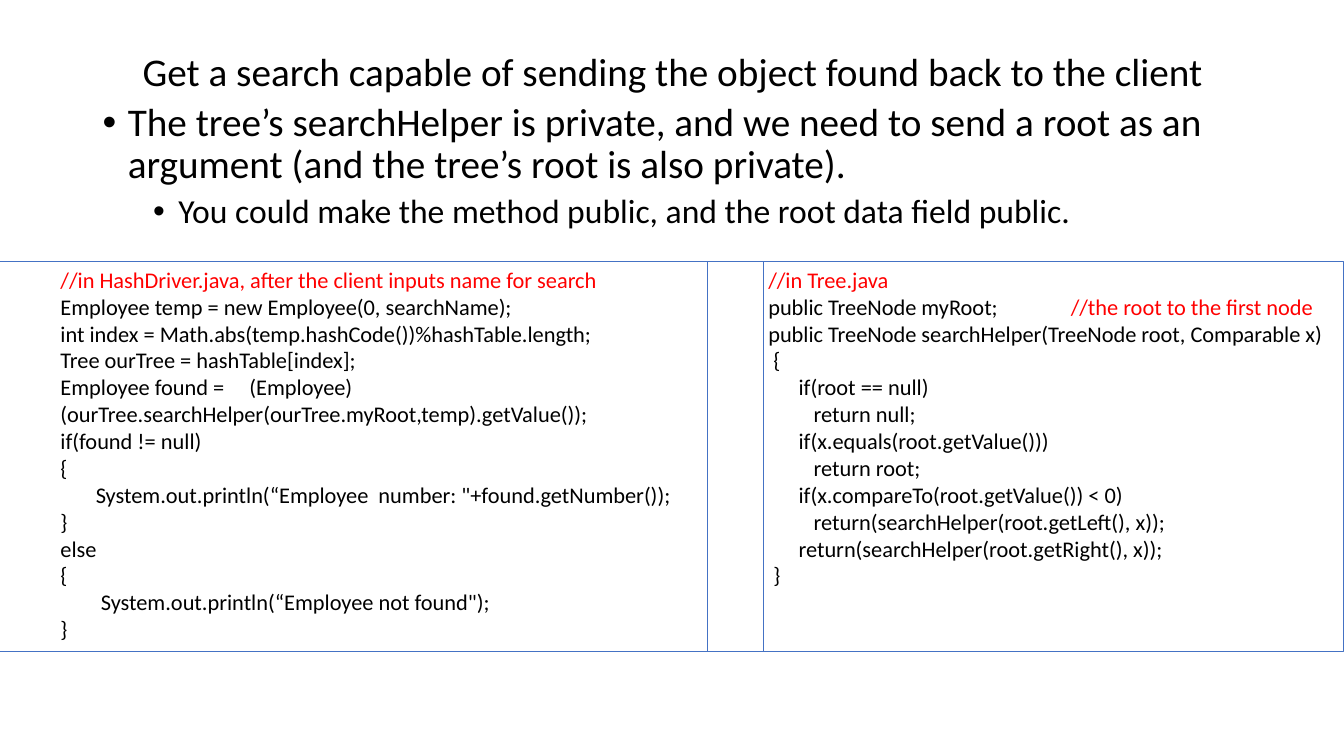
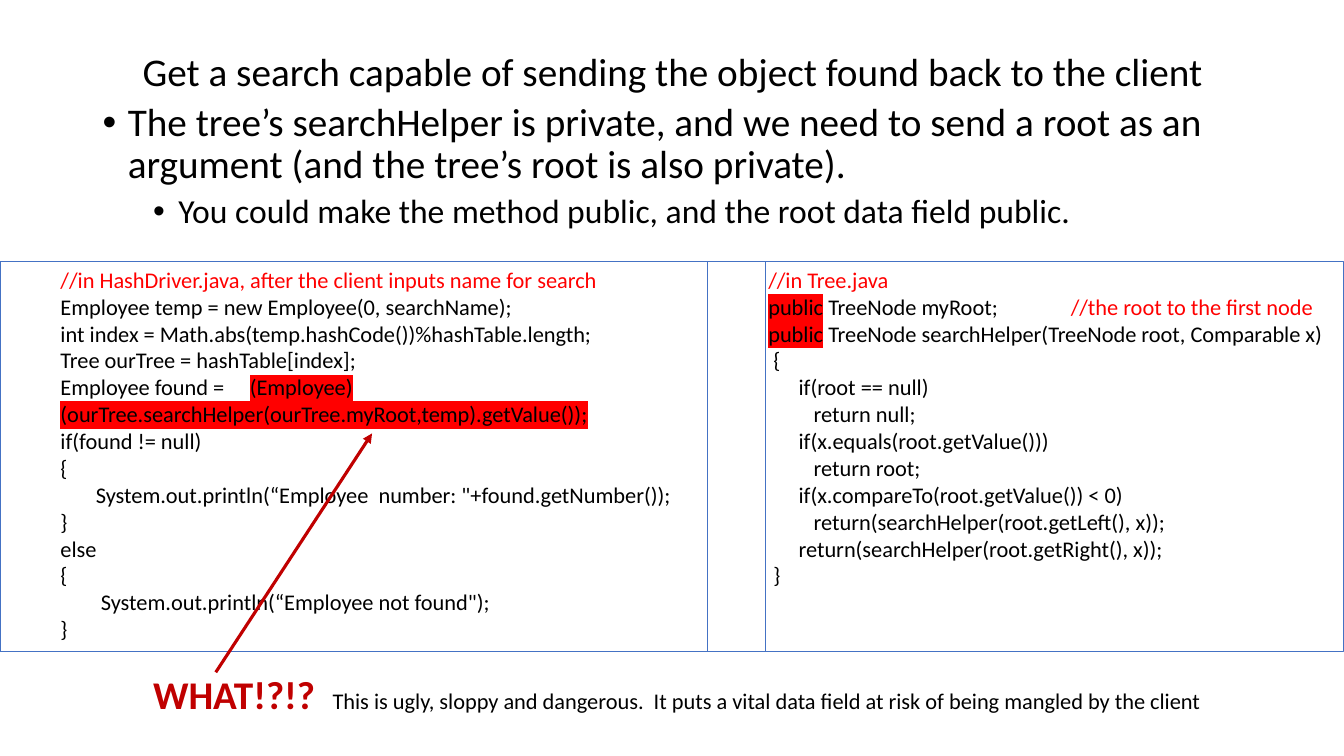
from dataclasses import dataclass

from lxml import etree
from pptx import Presentation
from pptx.dml.color import RGBColor
from pptx.enum.shapes import MSO_CONNECTOR, MSO_SHAPE
from pptx.enum.text import MSO_ANCHOR, PP_ALIGN
from pptx.oxml.ns import qn
from pptx.util import Inches, Pt


@dataclass(frozen=True)
class Theme:
    font: str = "Calibri"
    text: str = "000000"
    accent: str = "FF0000"
    warning: str = "C00000"
    border: str = "4472C4"
    large: int = 28
    medium: int = 24
    small: int = 16
    tight: float = 0.9


THEME = Theme()

TITLE = "Get a search capable of sending the object found back to the client"
POINT = ("The tree’s searchHelper is private, and we need to send a root as an "
         "argument (and the tree’s root is also private).")
SUBPOINT = "You could make the method public, and the root data field public."
VERDICT = ("This is ugly, sloppy and dangerous.  It puts a vital data field "
           "at risk of being mangled by the client")

# Boxes: left, top, width, height
TITLE_BOX = (0.92, 0.4, 11.5, 0.66)
BODY_BOX = (0.92, 0.97, 11.5, 1.5)
TREE_BOX = (7.02, 2.59, 6.31, 3.87)
VERDICT_BOX = (1.42, 6.65, 11, 0.55)

DRIVER_END = """if(found != null)
{
       System.out.println(“Employee  number: "+found.getNumber());
}
else
{
        System.out.println(“Employee not found");
}"""

TREE_END = """ {
      if(root == null)
         return null;
      if(x.equals(root.getValue()))
         return root;
      if(x.compareTo(root.getValue()) < 0)
         return(searchHelper(root.getLeft(), x));
      return(searchHelper(root.getRight(), x));
 }"""


def add_run(paragraph, text, size=THEME.small, color=THEME.text, bold=False,
            highlight=None):
    run = paragraph.add_run()
    run.text = text
    run.font.size = Pt(size)
    run.font.bold = bold
    run.font.color.rgb = RGBColor.from_string(color)
    if highlight:
        properties = run.font._element
        mark = etree.SubElement(properties, qn("a:highlight"))
        etree.SubElement(mark, qn("a:srgbClr"), val=highlight)
    run.font.name = THEME.font


def add_paragraph(frame, runs, first=False, align=PP_ALIGN.LEFT, spacing=1.0,
                  before=0, bullet_indent=None, tab=None):
    """Write one paragraph from (text, format) pairs."""
    paragraph = frame.paragraphs[0] if first else frame.add_paragraph()
    paragraph.alignment = align
    paragraph.line_spacing = spacing
    paragraph.space_before = Pt(before)
    properties = paragraph._p.get_or_add_pPr()
    if bullet_indent is not None:
        properties.set("marL", str(Inches(bullet_indent)))
        properties.set("indent", str(-Inches(0.25)))
        etree.SubElement(properties, qn("a:buFont"), typeface="Arial")
        etree.SubElement(properties, qn("a:buChar"), char="•")
    if tab is not None:
        stops = etree.SubElement(properties, qn("a:tabLst"))
        etree.SubElement(stops, qn("a:tab"), pos=str(Inches(tab)), algn="l")
    for text, style in runs:
        add_run(paragraph, text, **style)


def add_text_box(slide, box):
    frame = slide.shapes.add_textbox(*map(Inches, box)).text_frame
    frame.word_wrap = True
    return frame


def add_heading(slide, box):
    frame = add_text_box(slide, box)
    frame.vertical_anchor = MSO_ANCHOR.MIDDLE
    add_paragraph(frame, [(TITLE, {"size": THEME.large})], first=True,
                  align=PP_ALIGN.CENTER, spacing=THEME.tight)


def add_points(slide, box):
    frame = add_text_box(slide, box)
    add_paragraph(frame, [(POINT, {"size": THEME.large})], first=True,
                  spacing=THEME.tight, bullet_indent=0.25)
    add_paragraph(frame, [(SUBPOINT, {"size": THEME.medium})],
                  spacing=THEME.tight, before=5, bullet_indent=0.75)


def add_code(slide, box, lines):
    """Draw an outlined box with one paragraph for each line of code."""
    shape = slide.shapes.add_shape(MSO_SHAPE.RECTANGLE, *map(Inches, box))
    shape.shadow.inherit = False
    shape.fill.background()
    shape.line.color.rgb = RGBColor.from_string(THEME.border)
    shape.line.width = Pt(0.75)
    frame = shape.text_frame
    frame.word_wrap = True
    frame.vertical_anchor = MSO_ANCHOR.TOP
    frame.margin_left = Inches(0.6)
    for index, runs in enumerate(lines):
        add_paragraph(frame, runs, first=index == 0, tab=3)


def plain_lines(code):
    return [[(line, {})] for line in code.splitlines()]


def driver_lines(highlight):
    return [
        [("//in HashDriver.java, after the client inputs name for search",
          {"color": THEME.accent})],
        [("Employee temp = new Employee(0, searchName);", {})],
        [("int index = Math.abs(temp.hashCode())%hashTable.length;", {})],
        [("Tree ourTree = hashTable[index];", {})],
        [("Employee found =     ", {}),
         ("(Employee)(ourTree.searchHelper(ourTree.myRoot,temp).getValue());",
          {"highlight": highlight})],
    ] + plain_lines(DRIVER_END)


def tree_lines(highlight):
    public = ("public", {"highlight": highlight})
    return [
        [("//in Tree.java", {"color": THEME.accent})],
        [public, (" TreeNode myRoot;\t", {}),
         ("//the root to the first node", {"color": THEME.accent})],
        [public, (" TreeNode searchHelper(TreeNode root, Comparable x)", {})],
    ] + plain_lines(TREE_END)


def add_verdict(slide, box):
    """Write the warning and point its arrow at the marked call."""
    frame = add_text_box(slide, box)
    warning = {"size": THEME.large, "color": THEME.warning, "bold": True}
    add_paragraph(frame, [("WHAT!?!?\t", warning), (VERDICT, {})], first=True,
                  spacing=THEME.tight, tab=1.78)

    left, top = box[:2]
    arrow = slide.shapes.add_connector(
        MSO_CONNECTOR.STRAIGHT, Inches(left + 0.72), Inches(top + 0.02),
        Inches(left + 2.27), Inches(top - 2.35))
    arrow.line.color.rgb = RGBColor.from_string(THEME.warning)
    arrow.line.width = Pt(2.25)
    etree.SubElement(arrow.line._get_or_add_ln(), qn("a:tailEnd"),
                     type="triangle")
    etree.SubElement(arrow._element.spPr, qn("a:effectLst"))


def add_search_slide(presentation, driver_width, highlight=None):
    slide = presentation.slides.add_slide(presentation.slide_layouts[6])
    add_heading(slide, TITLE_BOX)
    add_points(slide, BODY_BOX)
    add_code(slide, TREE_BOX, tree_lines(highlight))
    add_code(slide, (0, 2.59, driver_width, 3.87), driver_lines(highlight))
    return slide


def main():
    presentation = Presentation()
    presentation.slide_width = Inches(13.33)
    presentation.slide_height = Inches(7.5)
    add_search_slide(presentation, 7.57)
    marked_slide = add_search_slide(presentation, 7.59, THEME.accent)
    add_verdict(marked_slide, VERDICT_BOX)
    presentation.save("out.pptx")


if __name__ == "__main__":
    main()
